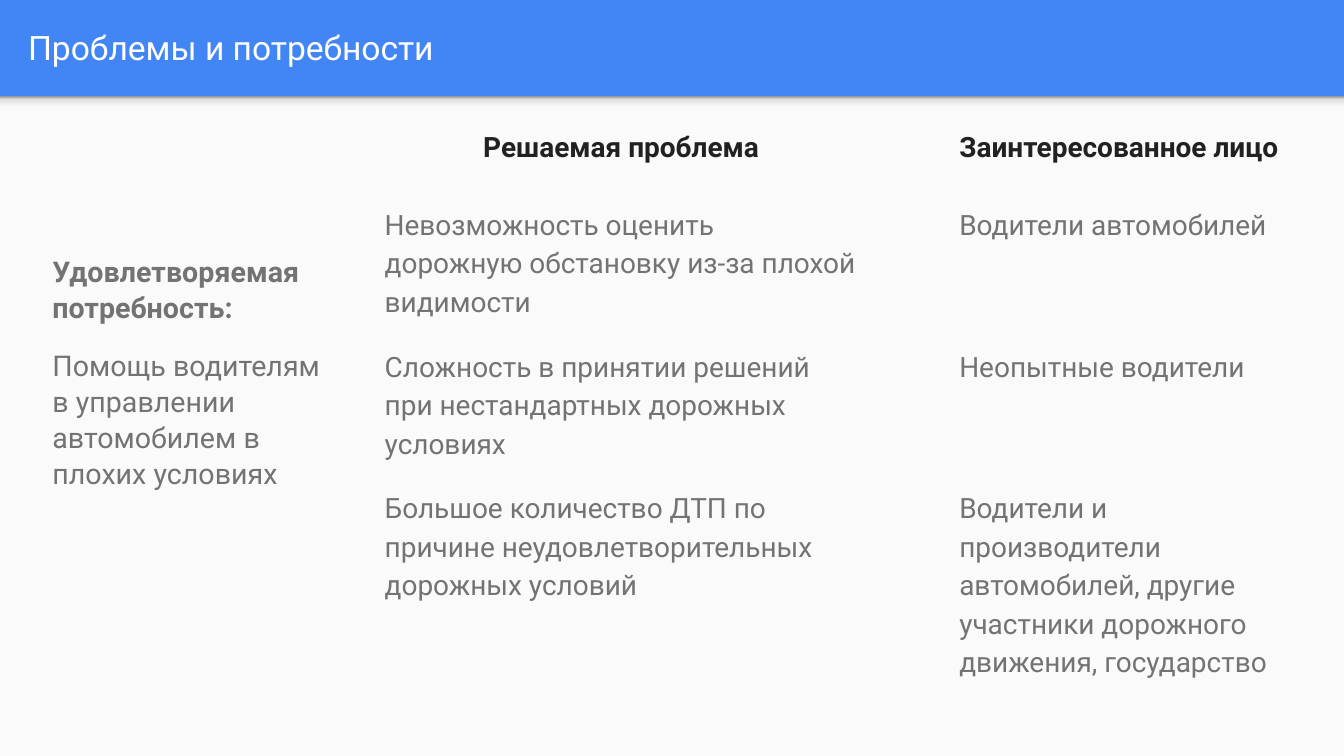
"""Build the slide on problems and needs with its table of stakeholders."""
from dataclasses import dataclass

from lxml import etree
from pptx import Presentation
from pptx.dml.color import RGBColor
from pptx.enum.shapes import MSO_SHAPE
from pptx.enum.text import MSO_ANCHOR, MSO_AUTO_SIZE, PP_ALIGN
from pptx.oxml.ns import qn
from pptx.shapes.autoshape import Shape
from pptx.slide import Slide
from pptx.text.text import TextFrame, _Paragraph
from pptx.util import Cm, Pt

RECT = MSO_SHAPE.RECTANGLE
LEFT, CENTER = PP_ALIGN.LEFT, PP_ALIGN.CENTER
TOP, MIDDLE = MSO_ANCHOR.TOP, MSO_ANCHOR.MIDDLE
FIXED = MSO_AUTO_SIZE.NONE

BLUE = RGBColor(0x42, 0x85, 0xF4)
PAPER = RGBColor(0xFA, 0xFA, 0xFA)
WHITE = RGBColor(0xFF, 0xFF, 0xFF)
INK = RGBColor(0x21, 0x21, 0x21)
GREY = RGBColor(0x73, 0x73, 0x73)
SHADE = [
    (0, RGBColor(0xF9, 0xF9, 0xF9)),
    (36, RGBColor(0xF9, 0xF9, 0xF9)),
    (80, RGBColor(0xDE, 0xDE, 0xDE)),
    (100, RGBColor(0x99, 0x99, 0x99)),
]

FONT = "Roboto"
PLAIN = "{2D5ABB26-0587-4C30-8999-92F81FD0307C}"
WIDTH, HEIGHT = 25.4, 14.29
BAR = 1.82
INSET = Cm(0.25)


@dataclass
class Box:
    left: float
    top: float
    width: float
    height: float


@dataclass
class Style:
    size: float
    color: RGBColor
    bold: bool = False
    line: float = 1.0
    before: float = 0
    indent: float = 0
    align: PP_ALIGN = LEFT


@dataclass
class Column:
    width: float
    indent: float
    align: PP_ALIGN


COLS = [Column(9.47, 0.03, CENTER), Column(8.36, 1.42, LEFT)]
TALL = [1.47, 2.21, 2.21, 2.26]
ROWS = [
    ("Решаемая проблема", "Заинтересованное лицо"),
    ("Невозможность оценить дорожную обстановку из-за плохой видимости",
     "Водители автомобилей"),
    ("Сложность в принятии решений при нестандартных дорожных условиях",
     "Неопытные водители"),
    ("Большое количество ДТП по причине неудовлетворительных дорожных условий",
     "Водители и производители автомобилей, другие участники дорожного "
     "движения, государство"),
]
NEED = [
    ("Удовлетворяемая потребность:",
     Style(15.3, GREY, bold=True, line=1.05)),
    ("Помощь водителям в управлении автомобилем в плохих условиях",
     Style(15.3, GREY, line=1.05, before=12)),
]


def write(para: _Paragraph, text: str, style: Style) -> None:
    """Fill a paragraph with one styled run."""
    para.alignment = style.align
    para.line_spacing = style.line
    para.space_before = Pt(style.before)
    props = para._p.get_or_add_pPr()
    props.set("marL", str(Cm(style.indent)))
    props.set("indent", "0")
    etree.SubElement(props, qn("a:buNone"))
    run = para.add_run()
    run.text = text
    run.font.name = FONT
    run.font.size = Pt(style.size)
    run.font.bold = style.bold
    run.font.color.rgb = style.color


def pad(item: object) -> None:
    """Give a text frame or cell equal margins."""
    item.margin_left = item.margin_right = INSET
    item.margin_top = item.margin_bottom = INSET


def panel(slide: Slide, box: Box) -> Shape:
    """Add a white sheet with no outline."""
    shape = slide.shapes.add_shape(
        RECT, Cm(box.left), Cm(box.top), Cm(box.width), Cm(box.height))
    shape.shadow.inherit = False
    shape.line.fill.background()
    shape.fill.solid()
    shape.fill.fore_color.rgb = PAPER
    return shape


def shade(shape: Shape) -> None:
    """Fade a shape from its top edge down."""
    shape.fill.gradient()
    shape.fill.gradient_angle = 90
    stops = next(shape.element.iter(qn("a:gsLst")))
    for stop in list(stops):
        stops.remove(stop)
    for place, color in SHADE:
        stop = etree.SubElement(stops, qn("a:gs"), pos=str(place * 1000))
        etree.SubElement(stop, qn("a:srgbClr"), val=str(color))


def place(shape: Shape, box: Box, anchor: MSO_ANCHOR) -> TextFrame:
    """Move a placeholder to the front and set up its frame."""
    shape.left, shape.top = Cm(box.left), Cm(box.top)
    shape.width, shape.height = Cm(box.width), Cm(box.height)
    shape.element.getparent().append(shape.element)
    frame = shape.text_frame
    frame.word_wrap = True
    frame.auto_size = FIXED
    frame.vertical_anchor = anchor
    pad(frame)
    return frame


def grid(slide: Slide, box: Box) -> None:
    """Draw the table of problems and people."""
    frame = slide.shapes.add_table(
        len(ROWS), len(COLS),
        Cm(box.left), Cm(box.top), Cm(box.width), Cm(box.height))
    next(frame.element.iter(qn("a:tableStyleId"))).text = PLAIN
    table = frame.table
    table.first_row = table.horz_banding = False
    for col, spec in zip(table.columns, COLS):
        col.width = Cm(spec.width)
    for i, (row, texts) in enumerate(zip(table.rows, ROWS)):
        row.height = Cm(TALL[i])
        head = i == 0
        for cell, text, spec in zip(row.cells, texts, COLS):
            pad(cell)
            cell.fill.background()
            style = Style(15, INK if head else GREY, head, 1.17, 1,
                          spec.indent, spec.align if head else LEFT)
            write(cell.text_frame.paragraphs[0], text, style)


def main() -> None:
    """Build and save the deck."""
    deck = Presentation()
    deck.slide_width, deck.slide_height = Cm(WIDTH), Cm(HEIGHT)
    slide = deck.slides.add_slide(deck.slide_layouts[1])
    slide.background.fill.solid()
    slide.background.fill.fore_color.rgb = BLUE

    panel(slide, Box(0, BAR, WIDTH, HEIGHT - BAR))
    shade(panel(slide, Box(0, BAR, WIDTH, 0.3)))

    title = place(slide.shapes.title, Box(0.28, 0.05, 24.5, 1.68), MIDDLE)
    write(title.paragraphs[0], "Проблемы и потребности", Style(18, WHITE))

    body = place(slide.placeholders[1], Box(0.74, 4.52, 5.84, 7.52), TOP)
    for i, (text, style) in enumerate(NEED):
        para = body.add_paragraph() if i else body.paragraphs[0]
        write(para, text, style)

    grid(slide, Box(6.99, 2.13, sum(c.width for c in COLS), sum(TALL)))
    deck.save("out.pptx")


if __name__ == "__main__":
    main()
